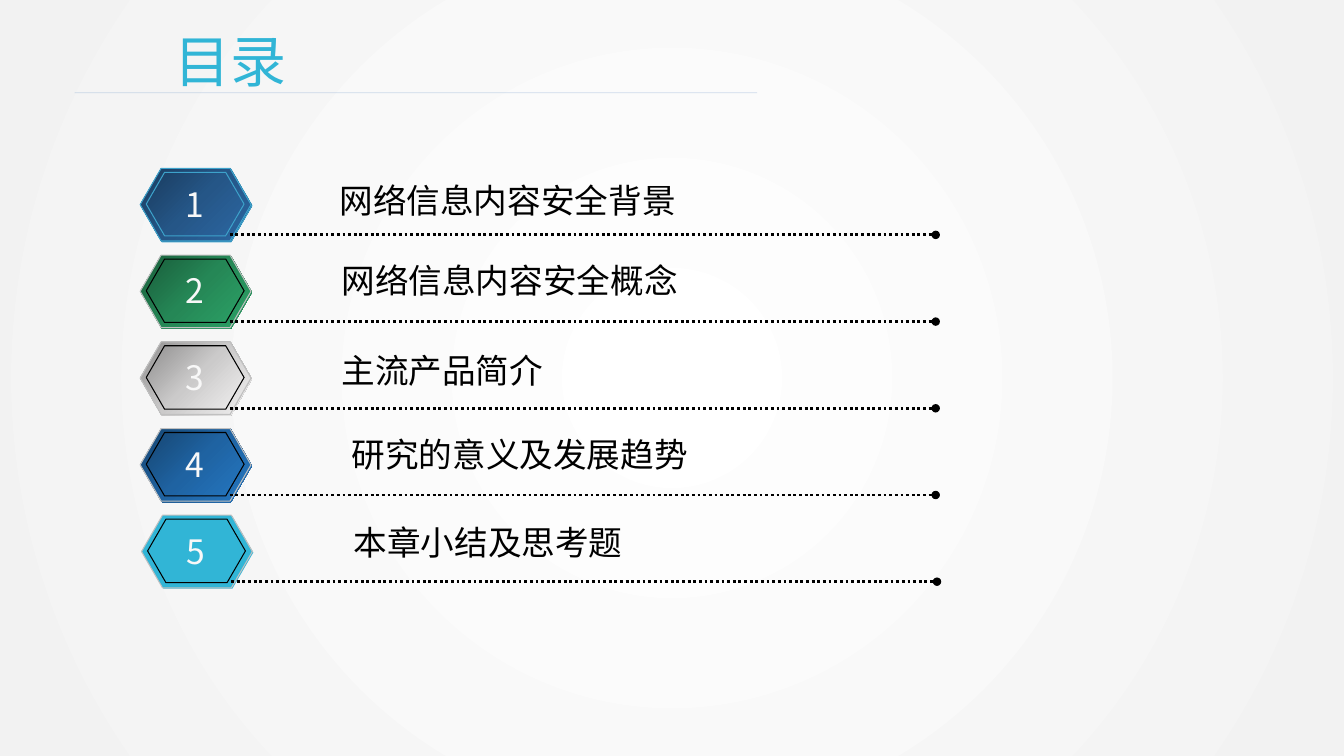
from dataclasses import dataclass

from lxml import etree
from pptx import Presentation
from pptx.dml.color import RGBColor
from pptx.enum.dml import MSO_LINE
from pptx.enum.shapes import MSO_CONNECTOR, MSO_SHAPE
from pptx.enum.text import MSO_ANCHOR, MSO_AUTO_SIZE, PP_ALIGN
from pptx.oxml.ns import qn
from pptx.util import Inches, Pt

HEXAGON = MSO_SHAPE.HEXAGON
STRAIGHT = MSO_CONNECTOR.STRAIGHT
DOTTED = MSO_LINE.ROUND_DOT
TOP = MSO_ANCHOR.TOP
GROW = MSO_AUTO_SIZE.SHAPE_TO_FIT_TEXT
LEFT = PP_ALIGN.LEFT
CENTER = PP_ALIGN.CENTER
TITLE_ONLY = 5


@dataclass(frozen=True)
class Theme:
    font: str = "Noto Sans CJK SC"
    accent: str = "31B5D6"
    ink: str = "000000"
    number: str = "F8F8F8"
    rule: str = "4A7EBB"
    rim: str = "C0C0C0"
    navy_rim: str = "3DA2CB"
    navy: tuple = ("1A3C5F", "255687", "2B66A1")
    green: tuple = ("1A5F3C", "258756", "2BA166")
    silver: tuple = ("8F8E8E", "CBCACA", "F1F0F0")
    blue: tuple = ("164672", "1F63A2", "2476C0")
    backdrop: tuple = ("FFFFFF", "F2F2F2")
    title_size: int = 40
    text_size: int = 24
    thin: float = 0.5
    edge: float = 0.75
    dots: float = 2


def apply(target, values):
    for name, value in values.items():
        setattr(target, name, value)


def add_node(parent, tag, **attributes):
    return etree.SubElement(parent, qn(tag), attributes)


class Composer:
    def __init__(self, deck, theme):
        self.deck = deck
        self.theme = theme
        self.page = deck.slides.add_slide(deck.slide_layouts[TITLE_ONLY])

    def across(self, percent):
        return round(self.deck.slide_width * percent / 100)

    def down(self, percent):
        return round(self.deck.slide_height * percent / 100)

    def place(self, left, top, width, height):
        return self.across(left), self.down(top), self.across(width), self.down(height)

    def gradient(self, fill, element, colors, radial=False):
        fill.gradient()
        node = element.find(".//" + qn("a:gradFill"))
        for child in list(node):
            node.remove(child)
        stops = add_node(node, "a:gsLst")
        for index, color in enumerate(colors):
            position = 100000 * index // (len(colors) - 1)
            stop = add_node(stops, "a:gs", pos=str(position))
            add_node(stop, "a:srgbClr", val=color)
        if radial:
            route = add_node(node, "a:path", path="circle")
            add_node(route, "a:fillToRect", **dict.fromkeys("ltrb", "50000"))
        else:
            add_node(node, "a:lin", ang="2700000", scaled="0")

    def backdrop(self):
        self.gradient(self.page.background.fill, self.page.element, self.theme.backdrop, True)

    def set_text(self, box, text, size, color, align=LEFT, wrap=False):
        frame = box.text_frame
        apply(frame, {"word_wrap": wrap, "auto_size": GROW, "vertical_anchor": TOP})
        para = frame.paragraphs[0]
        para.alignment = align
        span = para.add_run()
        span.text = text
        apply(span.font, {"size": Pt(size), "name": self.theme.font})
        span.font.color.rgb = RGBColor.from_string(color)
        add_node(box.element.find(".//" + qn("a:rPr")), "a:ea", typeface=self.theme.font)

    def title(self, text, area):
        box = self.page.shapes.title
        apply(box, dict(zip(("left", "top", "width", "height"), self.place(*area))))
        self.set_text(box, text, self.theme.title_size, self.theme.accent, wrap=True)

    def text(self, text, area, color, align=LEFT):
        box = self.page.shapes.add_textbox(*self.place(*area))
        self.set_text(box, text, self.theme.text_size, color, align)

    def line(self, start, end, level, color, width):
        link = self.page.shapes.add_connector(
            STRAIGHT, self.across(start), self.down(level), self.across(end), self.down(level)
        )
        link.line.color.rgb = RGBColor.from_string(color)
        link.line.width = Pt(width)
        add_node(link.element.spPr, "a:effectLst")
        return link

    def faint_rule(self, start, end, level):
        link = self.line(start, end, level, self.theme.rule, self.theme.thin)
        color = link.element.spPr.find(".//" + qn("a:srgbClr"))
        add_node(color, "a:alpha", val="25000")

    def dotted_rule(self, start, end, level):
        link = self.line(start, end, level, self.theme.ink, self.theme.dots)
        link.line.dash_style = DOTTED
        add_node(link.element.spPr.find(qn("a:ln")), "a:tailEnd", type="oval")

    def hexagon(self, group, area, fill, edge):
        shape = group.shapes.add_shape(HEXAGON, *self.place(*area))
        shape.shadow.inherit = False
        shape.adjustments[0] = 0.289
        if isinstance(fill, tuple):
            self.gradient(shape.fill, shape.element, fill)
        else:
            shape.fill.solid()
            shape.fill.fore_color.rgb = RGBColor.from_string(fill)
        if edge:
            shape.line.color.rgb = RGBColor.from_string(edge)
            shape.line.width = Pt(self.theme.edge)
        else:
            shape.line.fill.background()

    def badge(self, left, top, fill, edges):
        group = self.page.shapes.add_group_shape()
        layers = ((0.07, 0.13, 8.25, 9.6), (0, 0, 8.25, 9.6), (0.45, 0.53, 7.28, 8.4))
        for (dx, dy, width, height), edge in zip(layers, edges):
            self.hexagon(group, (left + dx, top + dy, width, height), fill, edge)


def main():
    deck = Presentation()
    apply(deck, {"slide_width": Inches(13.33), "slide_height": Inches(7.5)})
    theme = Theme()
    composer = Composer(deck, theme)
    composer.backdrop()
    composer.title("目录", (12.23, 2.8, 63.77, 10.27))
    composer.faint_rule(5.55, 56.34, 12.27)

    navy_edges = (theme.navy_rim,) * 3
    edges = (None, theme.rim, theme.ink)
    topics = (
        ("网络信息内容安全背景", 24.53, 23.2, theme.navy, navy_edges, 0),
        ("网络信息内容安全概念", 24.68, 33.73, theme.green, edges, 0),
        ("主流产品简介", 24.68, 45.6, theme.silver, edges, 0),
        ("研究的意义及发展趋势", 25.43, 56.8, theme.blue, edges, 0),
        ("本章小结及思考题", 25.58, 68.4, theme.accent, edges, 0.1),
    )
    first_row, row_pitch = 22.27, 11.47
    for index, (topic, left, label_top, fill, rims, shift) in enumerate(topics):
        top = first_row + index * row_pitch
        composer.badge(10.43 + shift, top, fill, rims)
        composer.dotted_rule(17.1 + shift, 69.62 + shift, top + 8.8)
        composer.text(topic, (left, label_top, 2.53 * len(topic) + 1.5, 6.67), theme.ink)
        number_area = (12.98 + shift, top + 1.35, 3, 6.67)
        composer.text(str(index + 1), number_area, theme.number, CENTER)

    deck.save("out.pptx")


if __name__ == "__main__":
    main()
